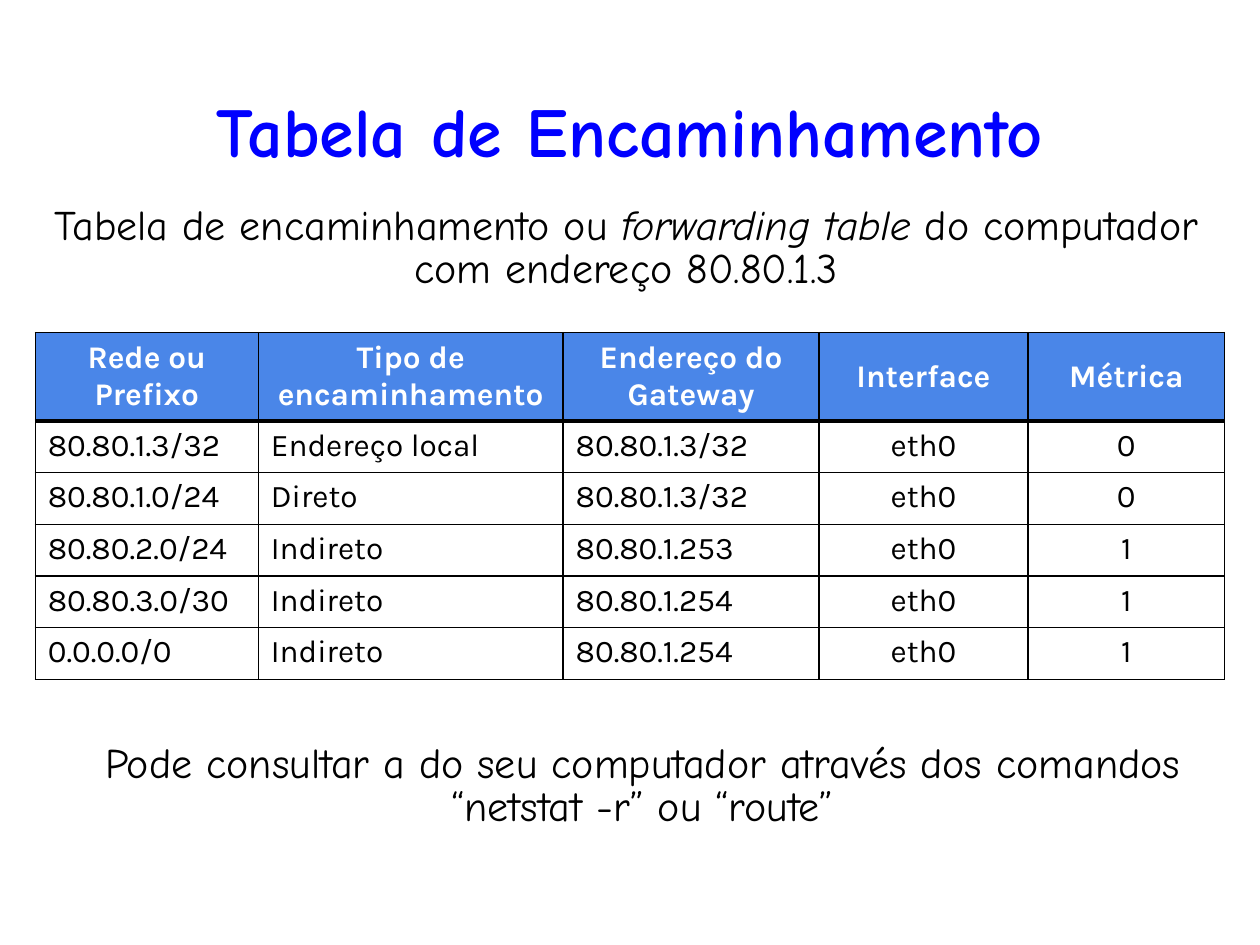
from dataclasses import dataclass
from typing import NamedTuple

from lxml import etree
from pptx import Presentation
from pptx.dml.color import RGBColor
from pptx.enum.text import MSO_ANCHOR, PP_ALIGN
from pptx.oxml.ns import qn
from pptx.util import Inches, Pt

LEFT, CENTER = PP_ALIGN.LEFT, PP_ALIGN.CENTER
TOP, MIDDLE = MSO_ANCHOR.TOP, MSO_ANCHOR.MIDDLE
SLIDE_WIDTH, SLIDE_HEIGHT = Inches(10), Inches(7.5)


@dataclass(frozen=True)
class Theme:
    black: str = "000000"
    white: str = "FFFFFF"
    title_color: str = "0000FF"
    header_fill: str = "4A86E8"
    text_font: str = "Comic Neue"
    table_font: str = "Karla"
    title_size: int = 40
    body_size: int = 24
    table_size: int = 18
    thin_border: int = 1
    thick_border: int = 3


THEME = Theme()


class Box(NamedTuple):
    """Position and size in percent of the slide."""
    left: float
    top: float
    width: float
    height: float


class Span(NamedTuple):
    text: str
    italic: bool = False


class TextStyle(NamedTuple):
    font: str
    size: int
    color: str
    bold: bool = False


class TextBlock(NamedTuple):
    box: Box
    spans: list[Span]
    style: TextStyle
    anchor: MSO_ANCHOR = TOP
    line_spacing: float = 1.0
    insets: tuple[float, float] = (0.1, 0.05)


class Column(NamedTuple):
    heading: str
    width: float
    align: PP_ALIGN


TITLE = TextStyle(THEME.text_font, THEME.title_size, THEME.title_color, True)
BODY = TextStyle(THEME.text_font, THEME.body_size, THEME.black)
HEADING = TextStyle(THEME.table_font, THEME.table_size, THEME.white, True)
ENTRY = TextStyle(THEME.table_font, THEME.table_size, THEME.black)
BODY_LAYOUT = {"line_spacing": 0.85, "insets": (0.07, 0.03)}

TEXT_BLOCKS = [
    TextBlock(Box(3.5, 5.87, 93, 15.6), [Span("Tabela de Encaminhamento")], TITLE, MIDDLE),
    TextBlock(
        Box(3.5, 21.47, 92.4, 13.73),
        [
            Span("Tabela de encaminhamento ou "),
            Span("forwarding table ", italic=True),
            Span("do computador com endereço 80.80.1.3"),
        ],
        BODY,
        **BODY_LAYOUT,
    ),
    TextBlock(
        Box(4.8, 78.4, 92.4, 16.4),
        [Span("Pode consultar a do seu computador através dos comandos “netstat -r” ou “route”")],
        BODY,
        **BODY_LAYOUT,
    ),
]

TABLE_LEFT, TABLE_TOP = 2.8, 35.2
HEADER_HEIGHT, ROW_HEIGHT = 9.07, 5.47
COLUMNS = [
    Column("Rede ou Prefixo", 17.7, LEFT),
    Column("Tipo de encaminhamento", 24.2, LEFT),
    Column("Endereço do Gateway", 20.3, LEFT),
    Column("Interface", 16.6, CENTER),
    Column("Métrica", 15.6, CENTER),
]
ROUTES = [
    ("80.80.1.3/32", "Endereço local", "80.80.1.3/32", "eth0", "0"),
    ("80.80.1.0/24", "Direto", "80.80.1.3/32", "eth0", "0"),
    ("80.80.2.0/24", "Indireto", "80.80.1.253", "eth0", "1"),
    ("80.80.3.0/30", "Indireto", "80.80.1.254", "eth0", "1"),
    ("0.0.0.0/0", "Indireto", "80.80.1.254", "eth0", "1"),
]


def across(percent: float) -> int:
    return round(SLIDE_WIDTH * percent / 100)


def down(percent: float) -> int:
    return round(SLIDE_HEIGHT * percent / 100)


def style_paragraph(paragraph, style: TextStyle, align: PP_ALIGN) -> None:
    paragraph.alignment = align
    font = paragraph.font
    font.name, font.size, font.bold = style.font, Pt(style.size), style.bold
    font.color.rgb = RGBColor.from_string(style.color)


def add_text(slide, block: TextBlock) -> None:
    box = block.box
    shape = slide.shapes.add_textbox(
        across(box.left), down(box.top), across(box.width), down(box.height)
    )
    frame = shape.text_frame
    frame.word_wrap = True
    frame.vertical_anchor = block.anchor
    side, end = map(Inches, block.insets)
    frame.margin_left = frame.margin_right = side
    frame.margin_top = frame.margin_bottom = end
    paragraph = frame.paragraphs[0]
    paragraph.line_spacing = block.line_spacing
    style_paragraph(paragraph, block.style, CENTER)
    for span in block.spans:
        run = paragraph.add_run()
        run.text = span.text
        if span.italic:
            run.font.italic = True


def set_borders(cell, top: int, bottom: int) -> None:
    """Draw all four sides; top and bottom are widths in points."""
    widths = {"L": THEME.thin_border, "R": THEME.thin_border, "T": top, "B": bottom}
    properties = cell._tc.get_or_add_tcPr()
    for index, (side, width) in enumerate(widths.items()):
        line = etree.Element(qn(f"a:ln{side}"), w=str(Pt(width)))
        fill = etree.SubElement(line, qn("a:solidFill"))
        etree.SubElement(fill, qn("a:srgbClr"), val=THEME.black)
        properties.insert(index, line)


def add_routing_table(slide) -> None:
    rows = [tuple(column.heading for column in COLUMNS), *ROUTES]
    heights = [HEADER_HEIGHT] + [ROW_HEIGHT] * len(ROUTES)
    table = slide.shapes.add_table(
        len(rows), len(COLUMNS), across(TABLE_LEFT), down(TABLE_TOP),
        across(sum(column.width for column in COLUMNS)), down(sum(heights)),
    ).table
    for index, column in enumerate(COLUMNS):
        table.columns[index].width = across(column.width)
    for row_index, (texts, height) in enumerate(zip(rows, heights)):
        table.rows[row_index].height = down(height)
        is_header = row_index == 0
        top = THEME.thick_border if row_index == 1 else THEME.thin_border
        bottom = THEME.thick_border if is_header else THEME.thin_border
        for column_index, (text, column) in enumerate(zip(texts, COLUMNS)):
            cell = table.cell(row_index, column_index)
            cell.text = text
            cell.vertical_anchor = MIDDLE if is_header else TOP
            cell.fill.solid()
            cell.fill.fore_color.rgb = RGBColor.from_string(
                THEME.header_fill if is_header else THEME.white
            )
            style_paragraph(
                cell.text_frame.paragraphs[0],
                HEADING if is_header else ENTRY,
                CENTER if is_header else column.align,
            )
            set_borders(cell, top, bottom)


def main() -> None:
    presentation = Presentation()
    presentation.slide_width, presentation.slide_height = SLIDE_WIDTH, SLIDE_HEIGHT
    slide = presentation.slides.add_slide(presentation.slide_layouts[6])
    for block in TEXT_BLOCKS:
        add_text(slide, block)
    add_routing_table(slide)
    presentation.save("out.pptx")


if __name__ == "__main__":
    main()
